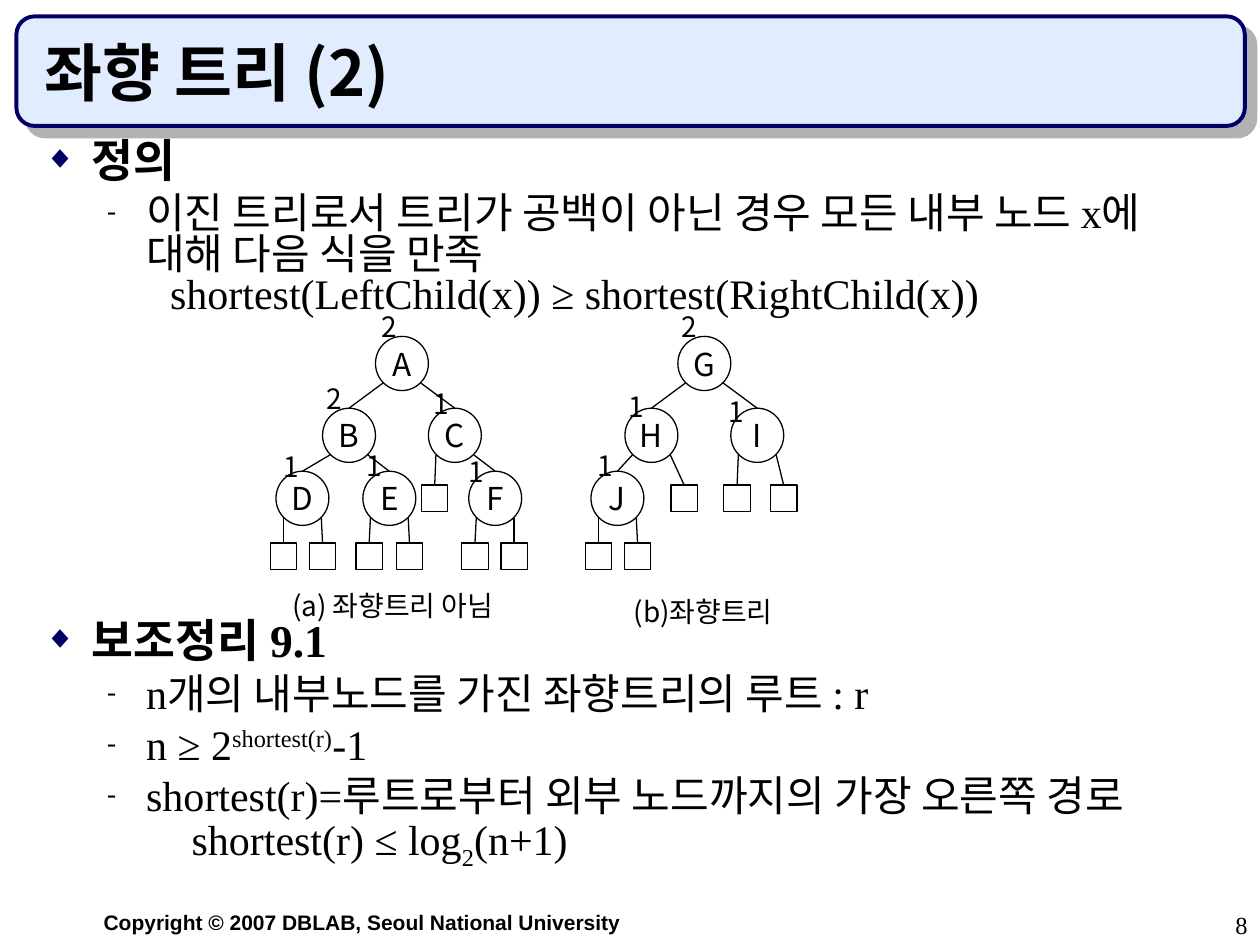
from lxml import etree
from pptx import Presentation
from pptx.dml.color import RGBColor
from pptx.enum.shapes import MSO_CONNECTOR, MSO_SHAPE
from pptx.enum.text import MSO_ANCHOR, MSO_AUTO_SIZE, PP_ALIGN
from pptx.oxml.ns import qn
from pptx.util import Inches, Pt

LINE = MSO_CONNECTOR.STRAIGHT
OVAL, BOX, ROUND = MSO_SHAPE.OVAL, MSO_SHAPE.RECTANGLE, MSO_SHAPE.ROUNDED_RECTANGLE
LEFT, MID, RIGHT = PP_ALIGN.LEFT, PP_ALIGN.CENTER, PP_ALIGN.RIGHT
SANS, SERIF, ARIAL = "Noto Sans CJK KR", "Times New Roman", "Arial"
INK = {"text": "000000", "navy": "000066", "pale": "E1ECFF", "shade": "B2B2B2"}

# Node: centre x, row, rank, rank left, rank top, left and right child.
# A child is a node name, or the centre x of an external node.
TREE_A = {
    "A": (3.19, 0, "2", 2.93, 2.41, "B", "C"),
    "B": (2.77, 1, "2", 2.49, 2.98, "D", "E"),
    "C": (3.61, 1, "1", 3.34, 3.02, 3.45, "F"),
    "D": (2.4, 2, "1", 2.15, 3.52, 2.25, 2.56),
    "E": (3.09, 2, "1", 2.81, 3.51, 2.93, 3.25),
    "F": (3.93, 2, "1", 3.62, 3.56, 3.77, 4.08),
}
TREE_B = {
    "G": (5.59, 0, "2", 5.31, 2.41, "H", "I"),
    "H": (5.17, 1, "1", 4.89, 3.04, "J", 5.43),
    "I": (6.01, 1, "1", 5.68, 3.08, 5.85, 6.22),
    "J": (4.9, 2, "1", 4.64, 3.51, 4.75, 5.06),
}
ROWS = [2.67, 3.24, 3.74]
LEAVES = {1: 3.85, 2: 4.31}
WIDE, HIGH, LEAF = 0.42, 0.43, 0.21


def color(name):
    return RGBColor.from_string(INK[name])


def write(par, text, size=24, font=SERIF, bold=False, base=0):
    run = par.add_run()
    run.text = text
    face = run.font
    face.size, face.bold, face.name = Pt(size), bold, font
    face.color.rgb = color("text")
    props = run._r.get_or_add_rPr()
    etree.SubElement(props, qn("a:ea"), typeface=SANS)
    if base:
        props.set("baseline", str(base * 1000))


def label(shapes, box, text, align=LEFT, wrap=False, **fmt):
    frame = shapes.add_textbox(*map(Inches, box)).text_frame
    frame.word_wrap = wrap
    par = frame.paragraphs[0]
    par.alignment = align
    write(par, text, **fmt)


def outline(shapes, kind, box):
    shape = shapes.add_shape(kind, *map(Inches, box))
    shape.shadow.inherit = False
    shape.fill.background()
    shape.line.color.rgb = color("text")
    shape.line.width = Pt(0.75)
    return shape


def edge(shapes, x1, y1, x2, y2):
    line = shapes.add_connector(LINE, *map(Inches, (x1, y1, x2, y2)))
    line.line.color.rgb = color("text")
    line.line.width = Pt(0.75)
    etree.SubElement(line._element.spPr, qn("a:effectLst"))


def draw_tree(slide, tree, note, spot):
    shapes = slide.shapes.add_group_shape().shapes
    for name, (x, row, rank, left, top, *kids) in tree.items():
        y = ROWS[row]
        node = outline(shapes, OVAL, (x - WIDE / 2, y, WIDE, HIGH))
        frame = node.text_frame
        frame.word_wrap = False
        frame.vertical_anchor = MSO_ANCHOR.MIDDLE
        frame.paragraphs[0].alignment = MID
        write(frame.paragraphs[0], name, size=18, font=SANS)
        # Edges to both children
        for side, kid in zip((-0.15, 0.15), kids):
            if kid in tree:
                end, low = tree[kid][0], ROWS[tree[kid][1]]
            else:
                end, low = kid, LEAVES[row]
                outline(shapes, BOX, (end - LEAF / 2, low, LEAF, LEAF))
            edge(shapes, x + side, y + 0.37, end, low)
        label(shapes, (left, top, 0.32, 0.37), rank, size=16, font=SANS)
    label(shapes, spot, note, size=16, font=SANS)


def bullet(par, mark, tint, size, left, hang, tab):
    props = par._p.get_or_add_pPr()
    props.set("marL", str(Inches(left)))
    props.set("indent", str(Inches(-hang)))
    hue = etree.SubElement(props, qn("a:buClr"))
    etree.SubElement(hue, qn("a:srgbClr"), val=INK[tint])
    etree.SubElement(props, qn("a:buSzPct"), val=str(size * 1000))
    etree.SubElement(props, qn("a:buFont"), typeface=SERIF)
    etree.SubElement(props, qn("a:buChar"), char=mark)
    tabs = etree.SubElement(props, qn("a:tabLst"))
    etree.SubElement(tabs, qn("a:tab"), pos=str(Inches(tab)), algn="l")


def item(par, lines, level=1, before=6, tab=1):
    par.level = level
    par.alignment = LEFT
    par.line_spacing = 0.8
    par.space_before = Pt(before)
    if level:
        bullet(par, "-", "text", 65, 0.81, 0.31, tab)
    else:
        bullet(par, "◆", "navy", 70, 0.38, 0.38, tab)
    for n, line in enumerate(lines):
        if n:
            par.add_line_break()
        for text, base in line:
            write(par, text, size=24 if level else 26, bold=not level, base=base)


def place(shape, *box):
    shape.left, shape.top, shape.width, shape.height = map(Inches, box)
    frame = shape.text_frame
    frame.word_wrap = True
    frame.auto_size = MSO_AUTO_SIZE.NONE
    return frame


def banner(slide):
    shape = outline(slide.shapes, ROUND, (0.13, 0.13, 9.75, 0.87))
    shape.fill.solid()
    shape.fill.fore_color.rgb = color("pale")
    shape.line.color.rgb = color("navy")
    shape.line.width = Pt(2.25)
    # Hard shadow to the lower right
    effects = shape._element.spPr.find(qn("a:effectLst"))
    shade = etree.SubElement(effects, qn("a:outerShdw"), blurRad="0",
                             dist=str(Pt(8.5)), dir="2700000", rotWithShape="0")
    etree.SubElement(shade, qn("a:srgbClr"), val=INK["shade"])
    # Send behind the title
    slide.shapes._spTree.insert(2, shape._element)


def main():
    prs = Presentation()
    prs.slide_width, prs.slide_height = Inches(10), Inches(7.5)
    slide = prs.slides.add_slide(prs.slide_layouts[1])
    banner(slide)

    # Title
    frame = place(slide.shapes.title, 0.25, 0.25, 9.42, 0.67)
    frame.vertical_anchor = MSO_ANCHOR.BOTTOM
    frame.paragraphs[0].alignment = LEFT
    write(frame.paragraphs[0], "좌향 트리 (2)", size=36, font=SANS, bold=True)

    # Body; the wide gap before the lemma holds the trees
    frame = place(slide.placeholders[1], 0.25, 1.08, 9.42, 5.97)
    item(frame.paragraphs[0], [[("정의", 0)]], level=0, before=0)
    for lines, fmt in [
        ([[("이진 트리로서 트리가 공백이 아닌 경우 모든 내부 노드 x에 대해 다음 식을 만족", 0)],
          [("\tshortest(LeftChild(x)) ≥ shortest(RightChild(x))", 0)]], {}),
        ([[("보조정리 9.1", 0)]], {"level": 0, "before": 174.5}),
        ([[("n개의 내부노드를 가진 좌향트리의 루트 : r", 0)]], {}),
        ([[("n ≥ 2", 0), ("shortest(r)", 30), ("-1", 0)]], {}),
        ([[("shortest(r)=루트로부터 외부 노드까지의 가장 오른쪽 경로", 0)],
          [("\tshortest(r) ≤ log", 0), ("2", -25), ("(n+1)", 0)]], {"tab": 1.17}),
    ]:
        item(frame.add_paragraph(), lines, **fmt)

    # Trees
    draw_tree(slide, TREE_A, "(a) 좌향트리 아님", (2.22, 4.62, 1.87, 0.37))
    draw_tree(slide, TREE_B, "(b)좌향트리", (4.93, 4.67, 1.35, 0.37))

    # Footer
    label(slide.shapes, (0.25, 7.17, 5.25, 0.3),
          "Copyright © 2007 DBLAB, Seoul National University",
          align=MID, wrap=True, size=12, font=ARIAL, bold=True)
    label(slide.shapes, (7.92, 7.17, 2.08, 0.33), "8", align=RIGHT, wrap=True, size=14)
    prs.save("out.pptx")


if __name__ == "__main__":
    main()
